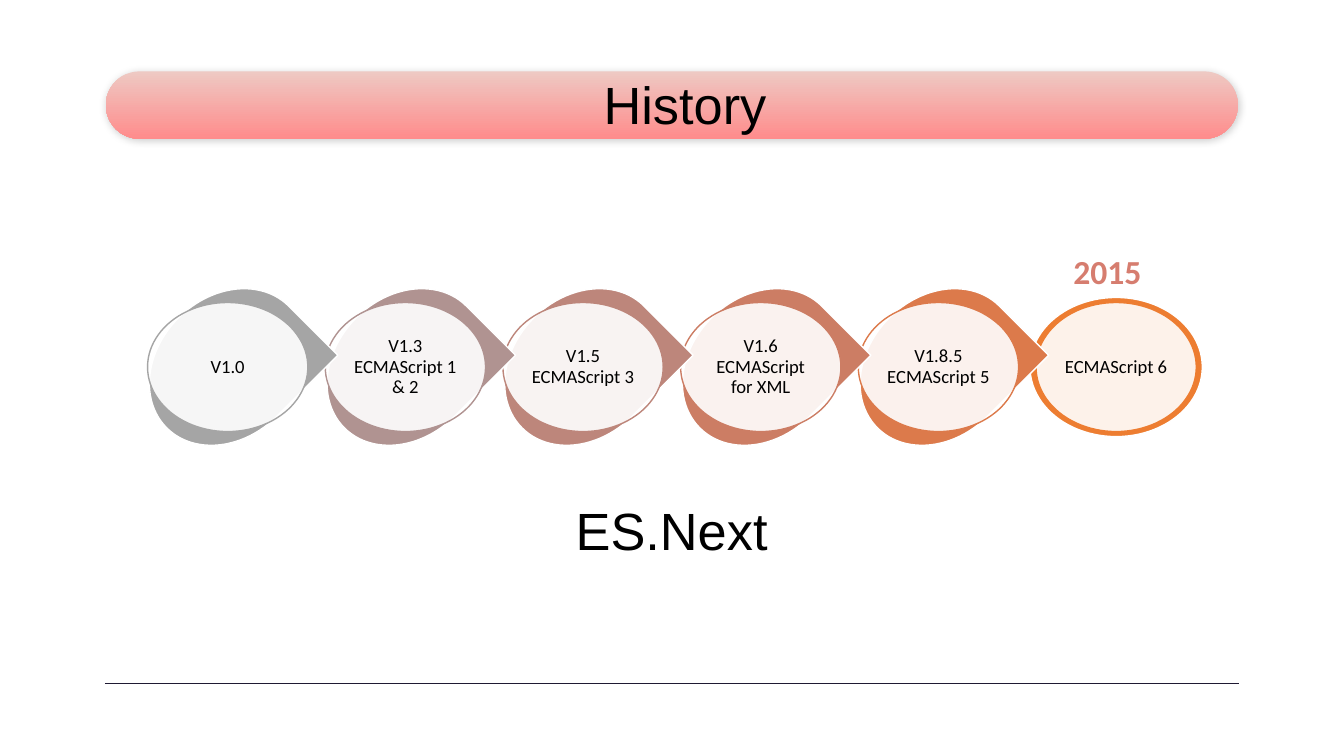
from dataclasses import dataclass
from lxml.etree import SubElement
from pptx import Presentation
from pptx.dml.color import RGBColor
from pptx.enum.shapes import MSO_CONNECTOR, MSO_SHAPE
from pptx.enum.text import MSO_ANCHOR, MSO_AUTO_SIZE, PP_ALIGN
from pptx.oxml.ns import qn
from pptx.util import Pt


@dataclass(frozen=True)
class Theme:
    ink: str = "000000"
    white: str = "FFFFFF"
    rule: str = "1F1A33"
    year: str = "D67D6F"
    top: str = "EEC9C3"
    base: str = "FF8C8C"
    head: str = "Arial"
    body: str = "Calibri"
    big: float = 37.4
    mid: float = 24
    small: float = 13.3


THEME = Theme()

# Oldest version first: label and colour
STAGES = [
    ("V1.0", "A5A5A5"),
    ("V1.3 ECMAScript 1 & 2", "B09391"),
    ("V1.5 ECMAScript\u00a03".replace("\u00a0", " "), "BD867B"),
    ("V1.6 ECMAScript for XML", "CC7D64"),
    ("V1.8.5 ECMAScript 5", "DC7A4B"),
    ("ECMAScript 6", "ED7D31"),
]


def rgb(code):
    return RGBColor.from_string(code)


def write(shape, text, size, font, color, pad, align=PP_ALIGN.CENTER,
          anchor=MSO_ANCHOR.MIDDLE, bold=False):
    """Fill a shape with one run of text and return its paragraph."""
    frame = shape.text_frame
    frame.word_wrap = True
    frame.auto_size = MSO_AUTO_SIZE.NONE
    frame.vertical_anchor = anchor
    frame.margin_left = frame.margin_right = Pt(pad[0])
    frame.margin_top = frame.margin_bottom = Pt(pad[1])
    para = frame.paragraphs[0]
    para.alignment = align
    run = para.add_run()
    run.text = text
    run.font.size, run.font.name, run.font.bold = Pt(size), font, bold
    run.font.color.rgb = rgb(color)
    return para


def add_round(slide, kind, mid, size, fill, line):
    """Add an outlined shape centred on a point."""
    x, y = mid
    w, h = size
    shape = slide.shapes.add_shape(kind, Pt(x - w / 2), Pt(y - h / 2), Pt(w), Pt(h))
    shape.shadow.inherit = False
    shape.fill.solid()
    shape.fill.fore_color.rgb = rgb(fill)
    shape.line.color.rgb = rgb(line)
    shape.line.width = Pt(1)
    return shape


def add_banner(slide, box):
    """Shaded bar with the slide title on it."""
    x, y, w, h = box
    bar = slide.shapes.add_shape(MSO_SHAPE.ROUNDED_RECTANGLE, Pt(x), Pt(y), Pt(w), Pt(h))
    bar.adjustments[0] = 0.5
    bar.fill.gradient()
    bar.fill.gradient_angle = 270
    for stop, color, place in zip(bar.fill.gradient_stops, (THEME.top, THEME.base), (0, 1)):
        stop.color.rgb = rgb(color)
        stop.position = place
    bar.line.fill.background()

    # Soft shadow
    bar.shadow.inherit = False
    effects = bar._element.spPr.find(qn("a:effectLst"))
    shade = SubElement(effects, qn("a:outerShdw"), blurRad=str(Pt(5.6)),
                       dist=str(Pt(0.8)), dir="3960000", rotWithShape="0")
    tone = SubElement(shade, qn("a:srgbClr"), val=THEME.ink)
    SubElement(tone, qn("a:alpha"), val="20000")

    # Title, raised above the bar
    title = slide.shapes.title
    title.left, title.top = Pt(x + 165), Pt(y - 1.4)
    title.width, title.height = Pt(497.5), Pt(h)
    write(title, "History", THEME.big, THEME.head, THEME.ink, (9.4, 9.4))
    slide.shapes._spTree.append(title._element)


def add_stage(slide, mid, label, color, last):
    """One version: a coloured back and a pale oval with its label."""
    if last:
        add_round(slide, MSO_SHAPE.OVAL, mid, (123.1, 99.4), color, THEME.white)
    else:
        drop = add_round(slide, MSO_SHAPE.TEAR, mid, (99.4, 123.1), color, THEME.white)
        drop.rotation = 45
    oval = add_round(slide, MSO_SHAPE.OVAL, mid, (114.5, 92.2), THEME.white, color)
    tone = oval._element.spPr.find(qn("a:solidFill"))[0]
    SubElement(tone, qn("a:alpha"), val="90000")
    para = write(oval, label, THEME.small, THEME.body, THEME.ink, (2.2, 2.2))
    para.line_spacing = 0.9
    para.space_after = Pt(4.9)


def add_chain(slide, box):
    """Row of versions, drawn from the newest back to the oldest."""
    x, y, w, h = box
    count = len(STAGES)
    step = (w - 114.5) / (count - 1)
    for i in reversed(range(count)):
        mid = (x + 57.25 + i * step, y + h / 2)
        add_stage(slide, mid, *STAGES[i], last=i == count - 1)


def add_text(slide, box, text, size, font, color, pad, **style):
    area = slide.shapes.add_textbox(*(Pt(n) for n in box))
    write(area, text, size, font, color, pad, **style)


def add_rule(slide, x, y, w):
    """Thin line at the foot of the slide."""
    rule = slide.shapes.add_connector(MSO_CONNECTOR.STRAIGHT, Pt(x), Pt(y), Pt(x + w), Pt(y))
    rule.line.color.rgb = rgb(THEME.rule)
    rule.line.width = Pt(0.75)
    SubElement(rule._element.spPr, qn("a:effectLst"))


def main():
    deck = Presentation()
    deck.slide_width, deck.slide_height = Pt(960), Pt(540)
    slide = deck.slides.add_slide(deck.slide_layouts[5])
    add_banner(slide, (75.6, 51, 808.6, 48.2))
    add_rule(slide, 75, 488.2, 810)
    add_chain(slide, (105.4, 200.6, 749.1, 123.1))
    add_text(slide, (757.4, 174.2, 100.8, 38.2), "2015", THEME.mid, THEME.body,
             THEME.year, (9.4, 5), align=PP_ALIGN.LEFT, anchor=MSO_ANCHOR.TOP, bold=True)
    add_text(slide, (231.1, 354.2, 497.5, 48.2), "ES.Next", THEME.big, THEME.head,
             THEME.ink, (9.4, 9.4))
    deck.save("out.pptx")


if __name__ == "__main__":
    main()
